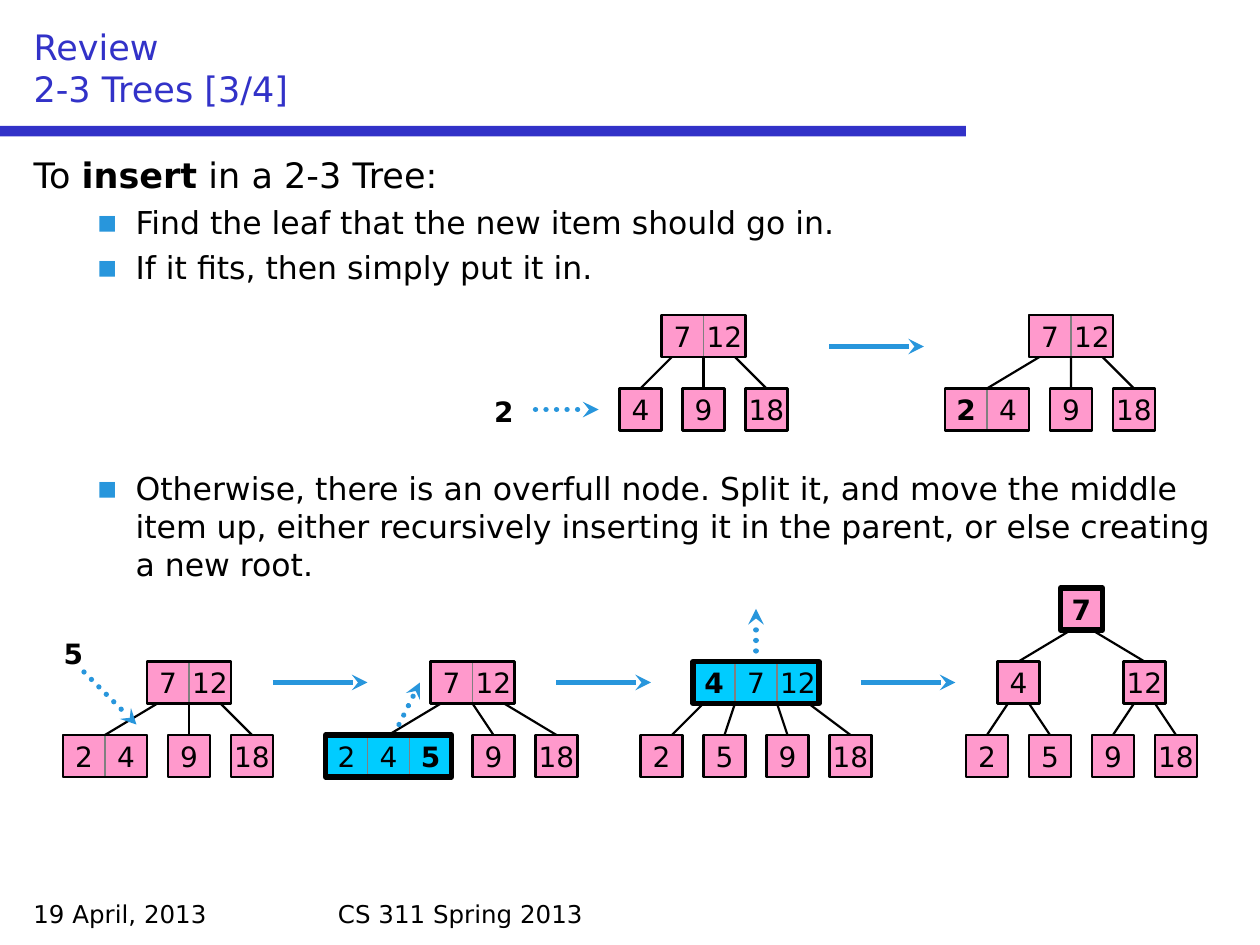
from collections import namedtuple

from lxml import etree
from pptx import Presentation
from pptx import util as u
from pptx.dml.color import RGBColor
from pptx.enum import dml, shapes, text
from pptx.oxml.ns import qn

FONT = "DejaVu Sans"
BLACK, GRAY, BLUE = "000000", "808080", "3232C8"
SKY, PINK, CYAN = "2896DC", "FF99CC", "00CCFF"
CELL = 4  # side of one item, in grid steps

Node = namedtuple("Node", "box x y wide")


def grid(n):
    """Length of n grid steps, twelve to the inch."""
    return u.Inches(n / 12)


def color(code):
    return RGBColor.from_string(code)


def write(para, words, size=16, ink=BLACK, bold=False, align=None):
    """Add words to a paragraph; a line feed becomes a line break."""
    para.alignment = align
    for i, line in enumerate(words.split("\n")):
        if i:
            para.add_line_break()
        run = para.add_run()
        run.text = line
        run.font.name, run.font.size = FONT, u.Pt(size)
        run.font.bold, run.font.color.rgb = bold, color(ink)


def place(shape, x, y, wide, high):
    shape.left, shape.top = grid(x), grid(y)
    shape.width, shape.height = grid(wide), grid(high)


def label(sl, x, y, wide, high, words, **form):
    box = sl.shapes.add_textbox(grid(x), grid(y), grid(wide), grid(high))
    box.text_frame.word_wrap = True
    write(box.text_frame.paragraphs[0], words, **form)


def rect(sl, x, y, wide, high, fill=None, ink=None, width=1.25):
    box = sl.shapes.add_shape(shapes.MSO_SHAPE.RECTANGLE,
                              grid(x), grid(y), grid(wide), grid(high))
    box.shadow.inherit = False
    if fill:
        box.fill.solid()
        box.fill.fore_color.rgb = color(fill)
    else:
        box.fill.background()
    if ink:
        box.line.color.rgb, box.line.width = color(ink), u.Pt(width)
    else:
        box.line.fill.background()
    return box


def line(sl, start, end, ink=BLACK, width=1.25):
    wire = sl.shapes.add_connector(shapes.MSO_CONNECTOR.STRAIGHT,
                                   *map(grid, start + end))
    wire.line.color.rgb, wire.line.width = color(ink), u.Pt(width)
    etree.SubElement(wire._element.spPr, qn("a:effectLst"))
    return wire


def arrow(sl, start, end, dots=False):
    wire = line(sl, start, end, SKY, 3)
    ln = wire._element.spPr.find(qn("a:ln"))
    if dots:
        wire.line.dash_style = dml.MSO_LINE.ROUND_DOT
        ln.set("cap", "rnd")
    etree.SubElement(ln, qn("a:tailEnd"), type="stealth")


def node(sl, x, y, items, fill=PINK, width=1.25):
    """Tree node; items are split by spaces, a star marks a bold one."""
    items = items.split()
    wide = CELL * len(items)
    single = len(items) == 1
    for i, item in enumerate(items):
        edge = (BLACK, width) if single else (GRAY, 0.75)
        box = rect(sl, x + CELL * i, y, CELL, CELL, fill, *edge)
        frame = box.text_frame
        frame.word_wrap = False
        frame.vertical_anchor = text.MSO_ANCHOR.MIDDLE
        write(frame.paragraphs[0], item.strip("*"), bold="*" in item,
              align=text.PP_ALIGN.CENTER)
    if not single:
        box = rect(sl, x, y, wide, CELL, None, BLACK, width)
    return Node(box, x, y, wide)


def link(sl, top, kids, shift=0):
    """Edges from evenly spread points under top; shift moves the first end."""
    step = (top.wide - 2) / (len(kids) - 1)
    for i, kid in enumerate(kids):
        start = top.x + 1 + round(step * i)
        mid = kid.x + kid.wide / 2
        move = 0 if i else shift
        wire = line(sl, (start, top.y + CELL), (mid + move, kid.y))
        if start == top.x + top.wide / 2:
            wire.begin_connect(top.box, 2)
        if not move:
            wire.end_connect(kid.box, 0)


def tree(sl, top, kids, shift=0):
    """Node with its children one level (7 steps) below."""
    root = node(sl, *top)
    leaves = [node(sl, x, root.y + 7, *rest) for x, *rest in kids]
    link(sl, root, leaves, shift)
    return root


def title(sl):
    box = sl.shapes.title
    place(box, 2, 2, 116, 9)
    frame = box.text_frame
    frame.auto_size = text.MSO_AUTO_SIZE.NONE
    frame.vertical_anchor = text.MSO_ANCHOR.BOTTOM
    write(frame.paragraphs[0], "Review\n2-3 Trees [3/4]", size=20, ink=BLUE,
          align=text.PP_ALIGN.LEFT)


def bullet(para, words, before):
    para.level = 1
    para.space_before = u.Pt(before)
    props = para._p.get_or_add_pPr()
    props.set("marL", str(u.Inches(0.81)))
    props.set("indent", str(u.Inches(-0.31)))
    tint = etree.SubElement(props, qn("a:buClr"))
    etree.SubElement(tint, qn("a:srgbClr"), val=SKY)
    etree.SubElement(props, qn("a:buFont"), typeface=FONT)
    etree.SubElement(props, qn("a:buChar"), char="▪")
    write(para, words, size=18)


def body(sl):
    box = sl.placeholders[1]
    place(box, 2, 14, 116, 70)
    frame = box.text_frame
    frame.auto_size = text.MSO_AUTO_SIZE.NONE
    head = frame.paragraphs[0]
    head.space_before = u.Pt(0)
    props = head._p.get_or_add_pPr()
    props.set("marL", str(u.Inches(0.38)))
    props.set("indent", str(u.Inches(-0.38)))
    etree.SubElement(props, qn("a:buNone"))
    for words, bold in (("To ", False), ("insert", True),
                        (" in a 2-3 Tree:", False)):
        write(head, words, size=20, bold=bold)
    # The last point leaves room for the first row of trees
    for words, before in (
            ("Find the leaf that the new item should go in.", 4.2),
            ("If it fits, then simply put it in.", 4.2),
            ("Otherwise, there is an overfull node. Split it, and move the "
             "middle item up, either recursively inserting it in the parent, "
             "or else creating a new root.", 104.8)):
        bullet(frame.add_paragraph(), words, before)


def main():
    prs = Presentation()
    prs.slide_width, prs.slide_height = u.Inches(10), u.Inches(7.5)
    sl = prs.slides.add_slide(prs.slide_layouts[1])

    # Frame of the page
    rect(sl, 0, 12, 92, 1, BLUE)
    label(sl, 2, 85, 28, 4, "19 April, 2013", size=14)
    label(sl, 31, 85, 58, 4, "CS 311 Spring 2013", size=14)
    title(sl)
    body(sl)

    # Simple insert
    tree(sl, (63, 30, "7 12"), [(59, "4"), (65, "9"), (71, "18")])
    tree(sl, (98, 30, "7 12"), [(90, "*2 4"), (100, "9"), (106, "18")])

    # Overfull leaf, overfull parent, new root
    tree(sl, (14, 63, "7 12"), [(6, "2 4"), (16, "9"), (22, "18")])
    tree(sl, (41, 63, "7 12"),
         [(31, "2 4 *5", CYAN, 3), (45, "9"), (51, "18")])
    tree(sl, (66, 63, "*4 7 12", CYAN, 3),
         [(61, "2"), (67, "5"), (73, "9"), (79, "18")], shift=1)
    left = tree(sl, (95, 63, "4"), [(92, "2"), (98, "5")])
    right = tree(sl, (107, 63, "12"), [(104, "9"), (110, "18")])
    link(sl, node(sl, 101, 56, "*7", PINK, 3), [left, right])

    # Steps between trees
    for x, y in ((79, 33), (26, 65), (53, 65), (82, 65)):
        arrow(sl, (x, y), (x + 9, y))

    # Moving items
    for start, end in (((51, 39), (57, 39)), ((8, 64), (13, 69)),
                       ((38, 69), (40, 65)), ((72, 62), (72, 58))):
        arrow(sl, start, end, dots=True)
    for x, y, item in ((45, 37, "2"), (4, 60, "5")):
        label(sl, x, y, 6, 4.4, item, bold=True, align=text.PP_ALIGN.CENTER)

    prs.save("out.pptx")


if __name__ == "__main__":
    main()
